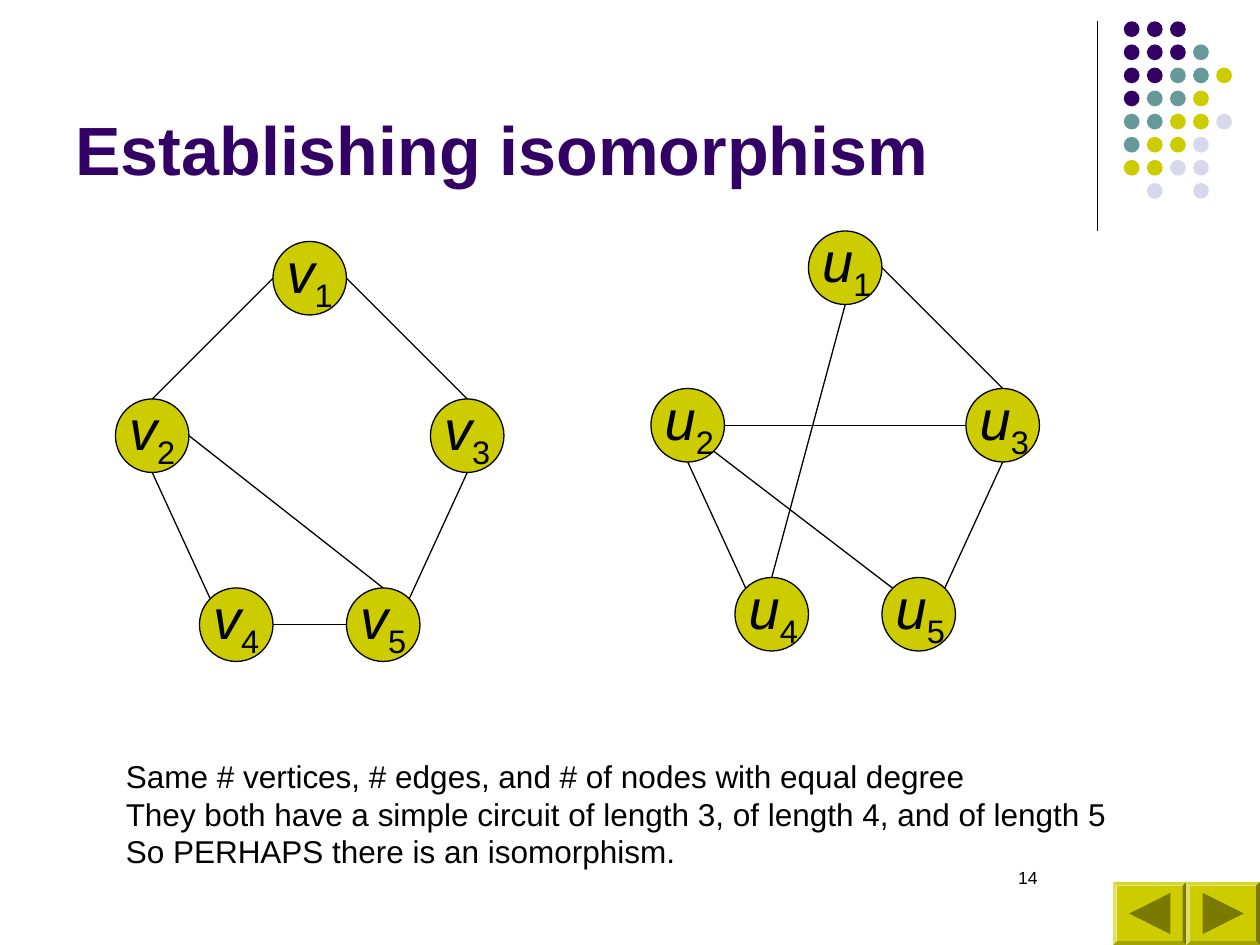
from math import cos, radians, sin

from lxml import etree
from pptx import Presentation
from pptx.dml.color import RGBColor
from pptx.enum.shapes import MSO_CONNECTOR, MSO_SHAPE
from pptx.enum.text import MSO_ANCHOR, PP_ALIGN
from pptx.oxml.ns import qn
from pptx.util import Pt

OVAL, BEVEL = MSO_SHAPE.OVAL, MSO_SHAPE.BEVEL
WEDGE = MSO_SHAPE.ISOSCELES_TRIANGLE
LINE = MSO_CONNECTOR.STRAIGHT
TOP, BASE = MSO_ANCHOR.TOP, MSO_ANCHOR.BOTTOM
LEFT, RIGHT = PP_ALIGN.LEFT, PP_ALIGN.RIGHT

BLACK = RGBColor(0x00, 0x00, 0x00)
PURPLE = RGBColor(0x33, 0x00, 0x66)
TEAL = RGBColor(0x66, 0x99, 0x99)
LIME = RGBColor(0xCC, 0xCC, 0x00)
OLIVE = RGBColor(0x7A, 0x7A, 0x00)
PALE = RGBColor(0xD8, 0xD8, 0xEC)

TITLE = {"size": Pt(39), "bold": True, "color": PURPLE}
BODY = {"size": Pt(18)}
PAGE = {"size": Pt(10)}
NAME = {"size": Pt(32), "italic": True}
INDEX = {"size": Pt(32), "italic": False}

DOTS = ["PPP", "PPPT", "PPTTL", "PTTL", "TTLLG", "TLLG", "LLGG", " G G"]
DOT_FILL = {"P": PURPLE, "T": TEAL, "L": LIME, "G": PALE}

NODE = 42
SPOTS = {1: (90, 0), 2: (0, 90), 3: (180, 90), 4: (48, 198), 5: (132, 198)}
# Compass point on a node's rim, as degrees clockwise from east
RIM = {"E": 0, "SE": 45, "S": 90, "W": 180, "NW": 225, "N": 270, "NE": 315}
SHARED = [(2, "S", 4, "NW"), (5, "NE", 3, "S"), (1, "E", 3, "N")]
V_EDGES = SHARED + [(4, "E", 5, "W"), (2, "N", 1, "W"), (5, "N", 2, "E")]
U_EDGES = SHARED + [(2, "E", 3, "W"), (1, "S", 4, "N"), (2, "SE", 5, "NW")]

NOTES = [
    "Same # vertices, # edges, and # of nodes with equal degree",
    "They both have a simple circuit of length 3, of length 4, and of length 5",
    "So PERHAPS there is an isomorphism.",
]


def add_run(para, text, style):
    run = para.add_run()
    run.text = text
    run.font.name = "Arial"
    run.font.color.rgb = BLACK
    for key, value in style.items():
        if key == "color":
            run.font.color.rgb = value
        else:
            setattr(run.font, key, value)
    return run


def add_text(shapes, box, lines, wrap=True, anchor=TOP, align=LEFT):
    """Add a text box; each line is a list of (text, style) runs."""
    frame = shapes.add_textbox(*map(Pt, box)).text_frame
    frame.word_wrap = wrap
    frame.vertical_anchor = anchor
    for i, parts in enumerate(lines):
        para = frame.add_paragraph() if i else frame.paragraphs[0]
        para.alignment = align
        for text, style in parts:
            run = add_run(para, text, style)
            if style is INDEX:
                run.font._element.set("baseline", "-25000")


def add_solid(shapes, kind, box, fill, edge=None):
    shape = shapes.add_shape(kind, *map(Pt, box))
    shape.shadow.inherit = False
    shape.fill.solid()
    shape.fill.fore_color.rgb = fill
    if edge is None:
        shape.line.fill.background()
    else:
        shape.line.color.rgb = edge
        shape.line.width = Pt(0.75)
    return shape


def add_line(shapes, start, end):
    line = shapes.add_connector(LINE, *map(Pt, (*start, *end)))
    line.line.color.rgb = BLACK
    line.line.width = Pt(0.75)
    etree.SubElement(line._element.spPr, qn("a:effectLst"))


def add_dots(shapes, left, top, pitch=13.2, size=9):
    group = shapes.add_group_shape()
    for row, marks in enumerate(DOTS):
        for col, mark in enumerate(marks):
            if mark in DOT_FILL:
                box = (left + col * pitch, top + row * pitch, size, size)
                add_solid(group.shapes, OVAL, box, DOT_FILL[mark])


def add_button(shapes, box, turn):
    """Add a bevelled button whose arrow is turned by the given degrees."""
    left, top, width, height = box
    face = add_solid(shapes, BEVEL, box, LIME)
    face.adjustments[0] = 0.06
    size = 23.5
    place = (left + (width - size) / 2, top + (height - size) / 2, size, size)
    add_solid(shapes, WEDGE, place, OLIVE).rotation = turn


def add_graph(shapes, left, top, letter, edges):
    """Add five labelled nodes and the edges between them."""

    def rim(node, side):
        x, y = SPOTS[node]
        angle, half = radians(RIM[side]), NODE / 2
        return (left + x + half + half * cos(angle),
                top + y + half + half * sin(angle))

    for x, y in SPOTS.values():
        add_solid(shapes, OVAL, (left + x, top + y, NODE, NODE), LIME, BLACK)
    for first, out, last, into in edges:
        add_line(shapes, rim(first, out), rim(last, into))
    for node, (x, y) in SPOTS.items():
        box = (left + x + 0.7, top + y - 6, NODE + 2, 51)
        label = [(letter, NAME), (str(node), INDEX)]
        add_text(shapes, box, [label], wrap=False)


def main():
    deck = Presentation()
    deck.slide_width, deck.slide_height = Pt(720), Pt(540)
    shapes = deck.slides.add_slide(deck.slide_layouts[6]).shapes

    add_line(shapes, (627, 12), (627, 132))
    add_dots(shapes, 642.2, 12.2)
    for left, turn in ((636, 270), (678, 90)):
        add_button(shapes, (left, 504, 42, 36), turn)
    add_text(shapes, (516, 492, 84, 36), [[("14", PAGE)]], align=RIGHT)
    add_text(shapes, (36, 9.4, 594, 102),
             [[("Establishing isomorphism", TITLE)]], anchor=BASE)
    add_graph(shapes, 66, 138, "v", V_EDGES)
    add_graph(shapes, 372, 132, "u", U_EDGES)
    add_text(shapes, (64.8, 429, 580, 72),
             [[(note, BODY)] for note in NOTES], wrap=False)
    deck.save("out.pptx")


if __name__ == "__main__":
    main()
